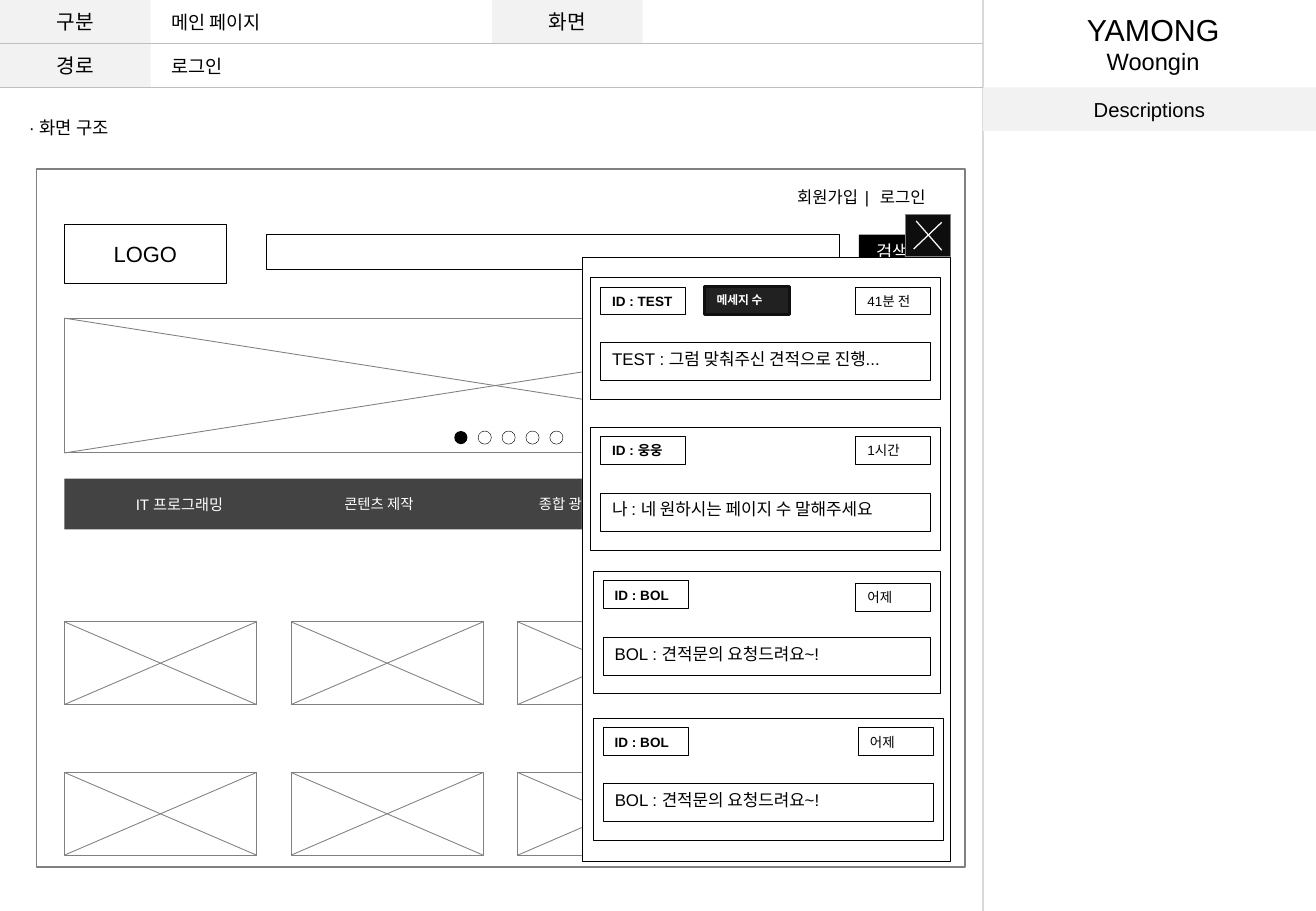
from dataclasses import dataclass
from itertools import product
from typing import NamedTuple

from lxml.etree import SubElement
from pptx import Presentation
from pptx.dml.color import RGBColor
from pptx.enum.shapes import MSO_CONNECTOR, MSO_SHAPE
from pptx.enum.text import MSO_ANCHOR, MSO_AUTO_SIZE, PP_ALIGN
from pptx.oxml.ns import qn
from pptx.shapes.autoshape import Shape
from pptx.shapes.shapetree import GroupShapes, SlideShapes
from pptx.text.text import TextFrame
from pptx.util import Pt

Canvas = SlideShapes | GroupShapes

BLACK, WHITE, GRAY = "000000", "FFFFFF", "808080"
PANEL, RULE = "F2F2F2", "BFBFBF"
CENTER, LEFT = PP_ALIGN.CENTER, PP_ALIGN.LEFT
PAGE_LEFT, PAGE_WIDTH = 38.2, 510.5
SIDEBAR_LEFT, HEADER_ROW = 582.5, 25.9
CARD_PAD = 5.8


class Box(NamedTuple):
    left: float
    top: float
    width: float
    height: float


class Words(NamedTuple):
    text: str
    size: float
    color: str = BLACK
    bold: bool = False
    spacing: int = 0


@dataclass
class Label:
    box: Box
    lines: list[Words]
    align: PP_ALIGN = LEFT
    wrap: bool = False


@dataclass
class Message:
    left: float
    top: float
    width: float
    sender: str
    time: str
    body: str
    body_drop: float = 38.9
    sender_drop: float = 5.8
    time_drop: float = 5.8


def rgb(color: str) -> RGBColor:
    return RGBColor.from_string(color)


def add_words(frame: TextFrame, lines: list[list[Words]], align: PP_ALIGN) -> None:
    for index, line in enumerate(lines):
        paragraph = frame.add_paragraph() if index else frame.paragraphs[0]
        paragraph.alignment = align
        for words in line:
            run = paragraph.add_run()
            run.text = words.text
            run.font.name = "Arial"
            run.font.size = Pt(words.size)
            run.font.bold = words.bold
            run.font.color.rgb = rgb(words.color)
            if words.spacing:
                run.font._element.set("spc", str(words.spacing))


def draw_shape(canvas: Canvas, box: Box, fill: str = "", line: str = "", weight: float = 0.25,
               kind: MSO_SHAPE = MSO_SHAPE.RECTANGLE) -> Shape:
    shape = canvas.add_shape(kind, *map(Pt, box))
    shape.shadow.inherit = False
    if fill:
        shape.fill.solid()
        shape.fill.fore_color.rgb = rgb(fill)
    else:
        shape.fill.background()
    if line:
        shape.line.color.rgb = rgb(line)
        shape.line.width = Pt(weight)
    else:
        shape.line.fill.background()
    return shape


def draw_centered(canvas: Canvas, box: Box, words: list[Words], fill: str, line: str = "") -> None:
    frame = draw_shape(canvas, box, fill, line).text_frame
    frame.vertical_anchor = MSO_ANCHOR.MIDDLE
    add_words(frame, [words], CENTER)


def draw_field(canvas: Canvas, box: Box, words: Words, fill: str = WHITE,
               line: str = BLACK, weight: float = 0.25) -> None:
    frame = draw_shape(canvas, box, fill, line, weight).text_frame
    frame.vertical_anchor = MSO_ANCHOR.TOP
    add_words(frame, [[words]], LEFT)


def draw_line(canvas: Canvas, x1: float, y1: float, x2: float, y2: float,
              color: str, weight: float) -> None:
    line = canvas.add_connector(MSO_CONNECTOR.STRAIGHT, Pt(x1), Pt(y1), Pt(x2), Pt(y2))
    line.line.color.rgb = rgb(color)
    line.line.width = Pt(weight)
    SubElement(line._element.spPr, qn("a:effectLst"))


def draw_label(canvas: Canvas, label: Label) -> None:
    frame = canvas.add_textbox(*map(Pt, label.box)).text_frame
    frame.word_wrap = label.wrap
    frame.auto_size = MSO_AUTO_SIZE.SHAPE_TO_FIT_TEXT
    add_words(frame, [[words] for words in label.lines], label.align)


def draw_image_slot(canvas: Canvas, box: Box) -> None:
    right, bottom = box.left + box.width, box.top + box.height
    draw_shape(canvas, box, line=GRAY, weight=0.5)
    draw_line(canvas, box.left, bottom, right, box.top, GRAY, 0.5)
    draw_line(canvas, right, bottom, box.left, box.top, GRAY, 0.5)


def draw_message(canvas: Canvas, message: Message) -> None:
    left, top, width = message.left, message.top, message.width
    inner = left + CARD_PAD
    time_left = left + width - CARD_PAD - 44.6
    draw_shape(canvas, Box(left, top, width, 72.7), WHITE, BLACK)
    draw_field(canvas, Box(inner, top + message.sender_drop, 50.4, 16.6),
               Words(message.sender, 8, bold=True))
    draw_field(canvas, Box(time_left, top + message.time_drop, 44.6, 16.6), Words(message.time, 8))
    draw_field(canvas, Box(inner, top + message.body_drop, width - 2 * CARD_PAD, 22.3),
               Words(message.body, 10))


def draw_main_page(shapes: SlideShapes) -> None:
    draw_image_slot(shapes.add_group_shape().shapes, Box(PAGE_LEFT, 188.6, PAGE_WIDTH, 79.9))
    draw_centered(shapes, Box(PAGE_LEFT, 133.2, 95.8, 34.6), [Words("LOGO", 13)], WHITE, BLACK)
    draw_shape(shapes, Box(157.7, 139, 339.8, 20.9), WHITE, BLACK)
    member_menu = [Words("회원가입", 9.8), Words(" | ", 9.8, spacing=180), Words("로그인", 9.8)]
    draw_centered(shapes, Box(457.9, 105.8, 105.1, 22.3), member_menu, WHITE)
    draw_centered(shapes, Box(509, 139, 39.6, 20.2), [Words("검색", 10.5, WHITE)], BLACK)

    pager = shapes.add_group_shape().shapes
    for page in range(5):
        dot = Box(269.2 + page * 14.15, 255.5, 7.8, 7.8)
        fill, line = ("", BLACK) if page else (BLACK, "")
        draw_shape(pager, dot, fill, line, kind=MSO_SHAPE.OVAL)

    gallery = shapes.add_group_shape().shapes
    for row, column in product(range(2), range(3)):
        slot = Box(PAGE_LEFT + column * 134.3, 368.6 + row * 89.3, 113.8, 49)
        draw_image_slot(gallery, slot)

    navigation = shapes.add_group_shape().shapes
    draw_shape(navigation, Box(PAGE_LEFT, 283.7, PAGE_WIDTH, 30.2), "434343")
    for label in (
        Label(Box(73.4, 290.2, 72, 18), [Words("IT 프로그래밍", 9, WHITE)], LEFT, True),
        Label(Box(188.6, 290.2, 72, 17.3), [Words("콘텐츠 제작", 8.5, WHITE)], CENTER, True),
        Label(Box(306.7, 290.2, 74.2, 17.3), [Words("종합 광고대행", 8.5, WHITE)], CENTER, True),
    ):
        draw_label(navigation, label)


def draw_header(shapes: SlideShapes) -> None:
    for left, row, text in ((0, 0, "구분"), (291.6, 0, "화면"), (0, 1, "경로")):
        cell = Box(left, row * HEADER_ROW, 89.3, HEADER_ROW)
        draw_centered(shapes, cell, [Words(text, 12)], PANEL)
    draw_line(shapes, SIDEBAR_LEFT, 0, SIDEBAR_LEFT, 540, "D9D9D9", 0.75)
    draw_centered(shapes, Box(SIDEBAR_LEFT, 2 * HEADER_ROW, 197.3, HEADER_ROW),
                  [Words("Descriptions", 12)], PANEL)
    for row in (1, 2):
        draw_line(shapes, 0, row * HEADER_ROW, SIDEBAR_LEFT, row * HEADER_ROW, RULE, 0.75)
    for label in (
        Label(Box(635.8, 2.9, 95, 46.1), [Words("YAMONG", 18), Words("Woongin", 14)], CENTER),
        Label(Box(10.1, 65.5, 68.4, 20.9), [Words("· 화면 구조", 10.5)]),
        Label(Box(94.3, 2.9, 73.4, 20.9), [Words("메인 페이지", 11)]),
        Label(Box(94.3, 28.8, 47.5, 20.9), [Words("로그인", 11)]),
    ):
        draw_label(shapes, label)
    draw_shape(shapes, Box(21.6, 100.1, 550.1, 414), line=GRAY, weight=1)


def draw_chat_popup(shapes: SlideShapes) -> None:
    popup = shapes.add_group_shape().shapes
    draw_shape(popup, Box(344.9, 152.6, 218.2, 357.8), WHITE, BLACK)
    for message in (
        Message(349.9, 164.2, 207.4, "ID : TEST", "41분 전", "TEST : 그럼 맞춰주신 견적으로 진행..."),
        Message(349.9, 253.4, 207.4, "ID : 웅웅", "1시간", "나 : 네 원하시는 페이지 수 말해주세요",
                sender_drop=5, time_drop=5),
        Message(351.4, 338.4, 205.9, "ID : BOL", "어제", "BOL : 견적문의 요청드려요~!",
                body_drop=39.6, time_drop=7.2),
        Message(351.4, 425.5, 207.4, "ID : BOL", "어제", "BOL : 견적문의 요청드려요~!"),
    ):
        draw_message(popup, message)
    draw_field(popup, Box(417.6, 169.9, 50.4, 16.6), Words("메세지 수", 7, WHITE, True),
               "212121", "101010", 2)

    close = shapes.add_group_shape().shapes
    draw_shape(close, Box(536.4, 127.4, 26.6, 24.5), "0D0D0D", GRAY, 0.5)
    for stroke in ((541.4, 147.6, 558, 131.8), (542.9, 131, 558, 148.3)):
        draw_line(close, *stroke, "FDFDFD", 0.75)


def main() -> None:
    deck = Presentation()
    deck.slide_width, deck.slide_height = Pt(779.8), Pt(540)
    shapes = deck.slides.add_slide(deck.slide_layouts[6]).shapes
    draw_main_page(shapes)
    draw_header(shapes)
    draw_chat_popup(shapes)
    deck.save("out.pptx")


if __name__ == "__main__":
    main()
